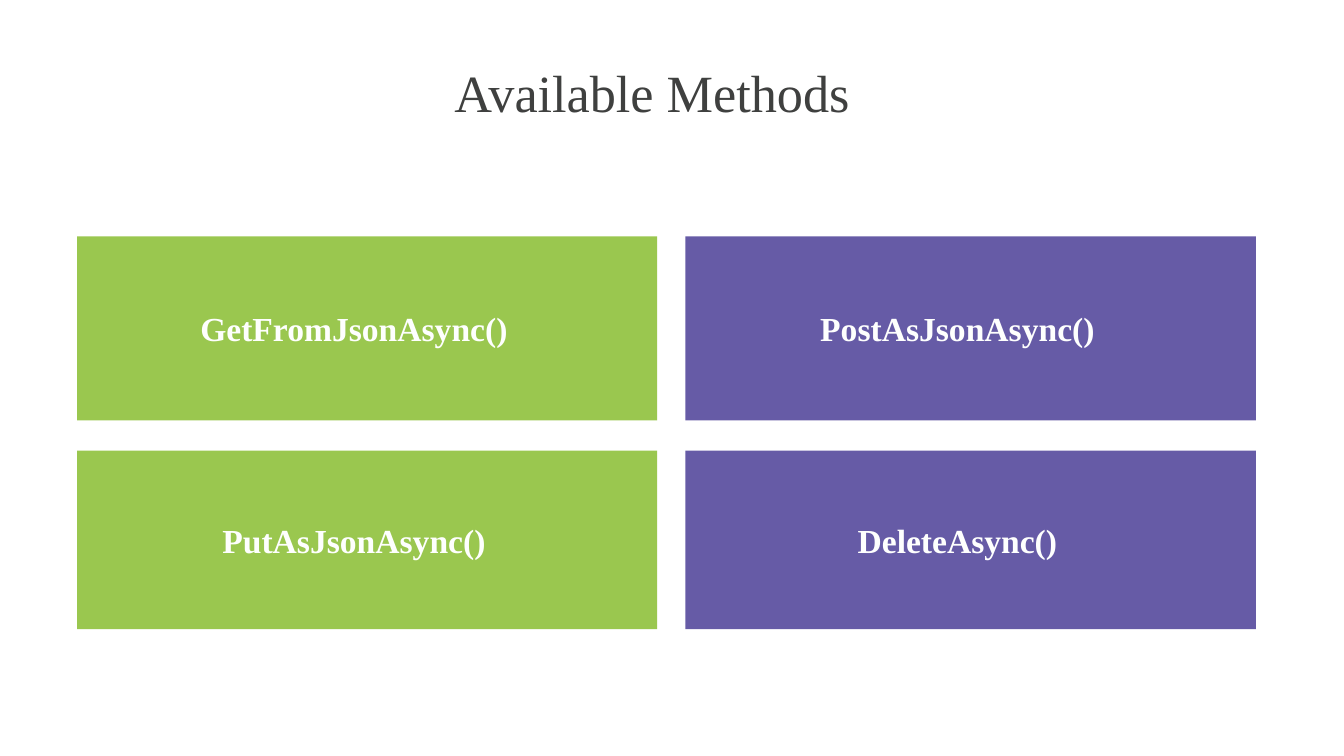
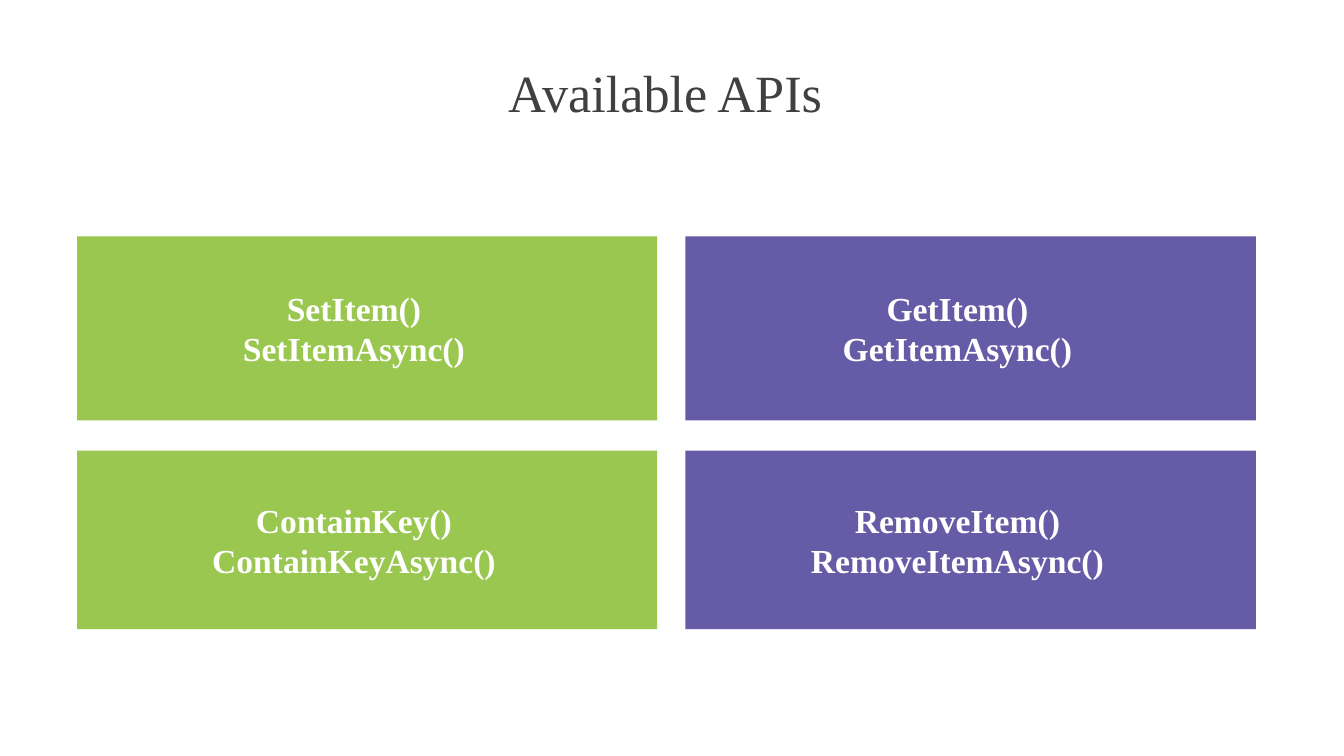
from itertools import product

from pptx import Presentation
from pptx.dml.color import RGBColor
from pptx.enum.shapes import MSO_SHAPE as Shape
from pptx.enum.text import MSO_ANCHOR as Anchor, PP_ALIGN as Align
from pptx.util import Cm, Pt

COLOURS = {"green": "9AC74F", "purple": "665BA6", "title": "3F403F", "label": "FEFFFE"}
FONT = "Times New Roman"

# Panel grid in cm: (left, width, colour) and (top, height)
COLUMNS = [(2.92, 21.92, "green"), (25.91, 21.56, "purple")]
ROWS = [(8.94, 6.95), (17.04, 6.75)]

# Title, its left edge in cm, and panel labels row by row
PAGES = [
    ("Available Methods", 17.18,
     ["GetFromJsonAsync()", "PostAsJsonAsync()", "PutAsJsonAsync()", "DeleteAsync()"]),
    ("Available APIs", 19.21,
     ["SetItem()\nSetItemAsync()", "GetItem()\nGetItemAsync()",
      "ContainKey()\nContainKeyAsync()", "RemoveItem()\nRemoveItemAsync()"]),
]


class Pages:
    def __init__(self):
        self.deck = Presentation()
        self.deck.slide_width, self.deck.slide_height = Cm(50.8), Cm(28.58)
        self.page = None

    def add_page(self):
        self.page = self.deck.slides.add_slide(self.deck.slide_layouts[6])

    def set_text(self, box, text, size, colour, align, bold=False, inset_right=0):
        frame = box.text_frame
        frame.word_wrap = True
        frame.margin_left = frame.margin_top = frame.margin_bottom = 0
        frame.margin_right = Cm(inset_right)
        para = frame.paragraphs[0]
        para.text = text
        para.alignment = align
        para.font.name, para.font.size, para.font.bold = FONT, Pt(size), bold
        para.font.color.rgb = RGBColor.from_string(COLOURS[colour])
        return para

    def title(self, text, left):
        box = self.page.shapes.add_textbox(Cm(left), Cm(2.62), Cm(18), Cm(2.06))
        para = self.set_text(box, text, 56, "title", Align.LEFT)
        para.line_spacing, para.space_before = Pt(58), Pt(2.9)

    def panel(self, text, left, top, width, height, colour):
        box = self.page.shapes.add_shape(
            Shape.RECTANGLE, Cm(left), Cm(top), Cm(width), Cm(height))
        box.shadow.inherit = False
        box.fill.solid()
        box.fill.fore_color.rgb = RGBColor.from_string(COLOURS[colour])
        box.line.fill.background()
        box.text_frame.vertical_anchor = Anchor.MIDDLE
        # The right inset sets labels slightly left of the panel centre
        self.set_text(box, text, 36, "label", Align.CENTER, bold=True, inset_right=1)


def main():
    pages = Pages()
    for title, title_left, labels in PAGES:
        pages.add_page()
        pages.title(title, title_left)
        for label, (row, column) in zip(labels, product(ROWS, COLUMNS)):
            top, height = row
            left, width, colour = column
            pages.panel(label, left, top, width, height, colour)
    pages.deck.save("out.pptx")


if __name__ == "__main__":
    main()
